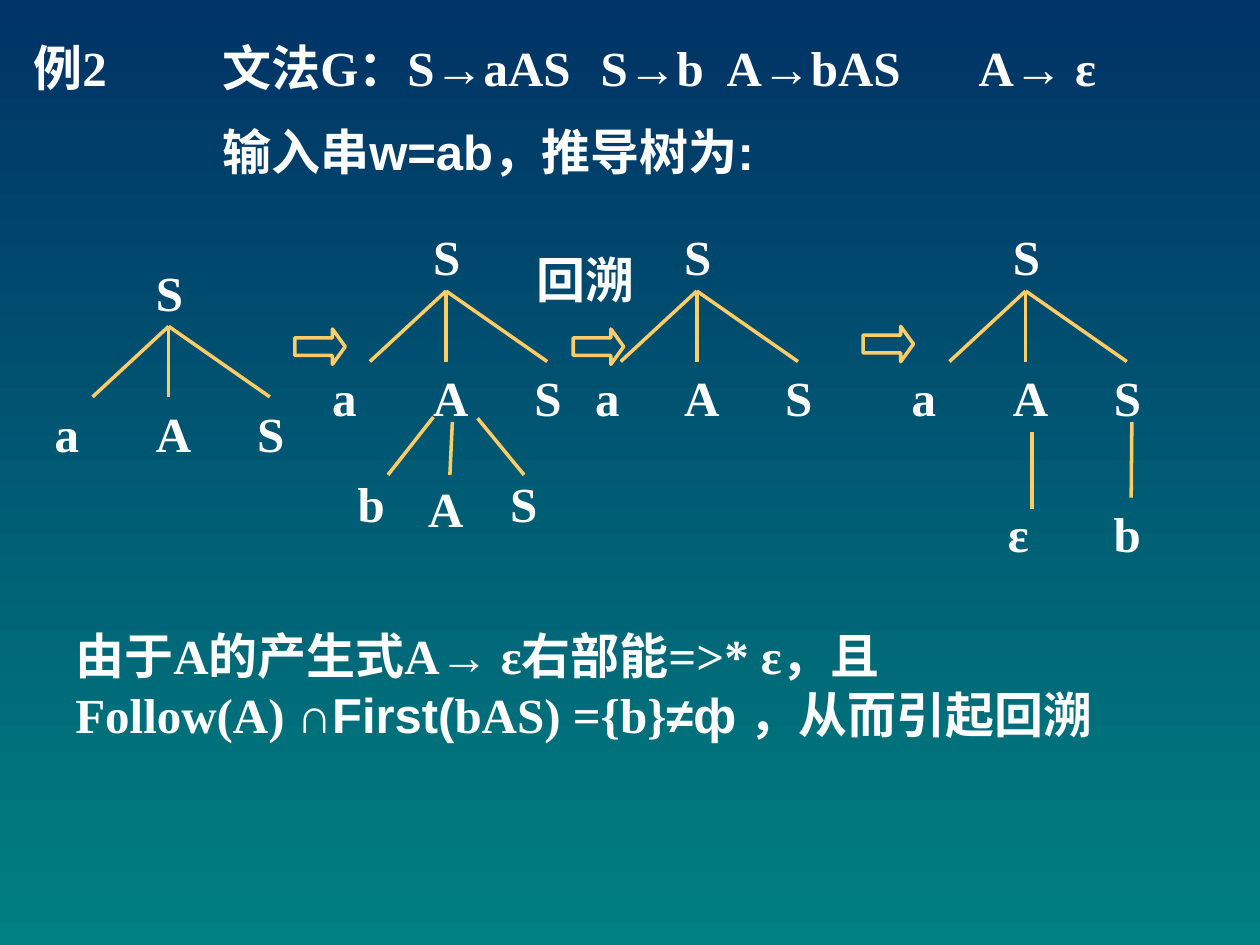
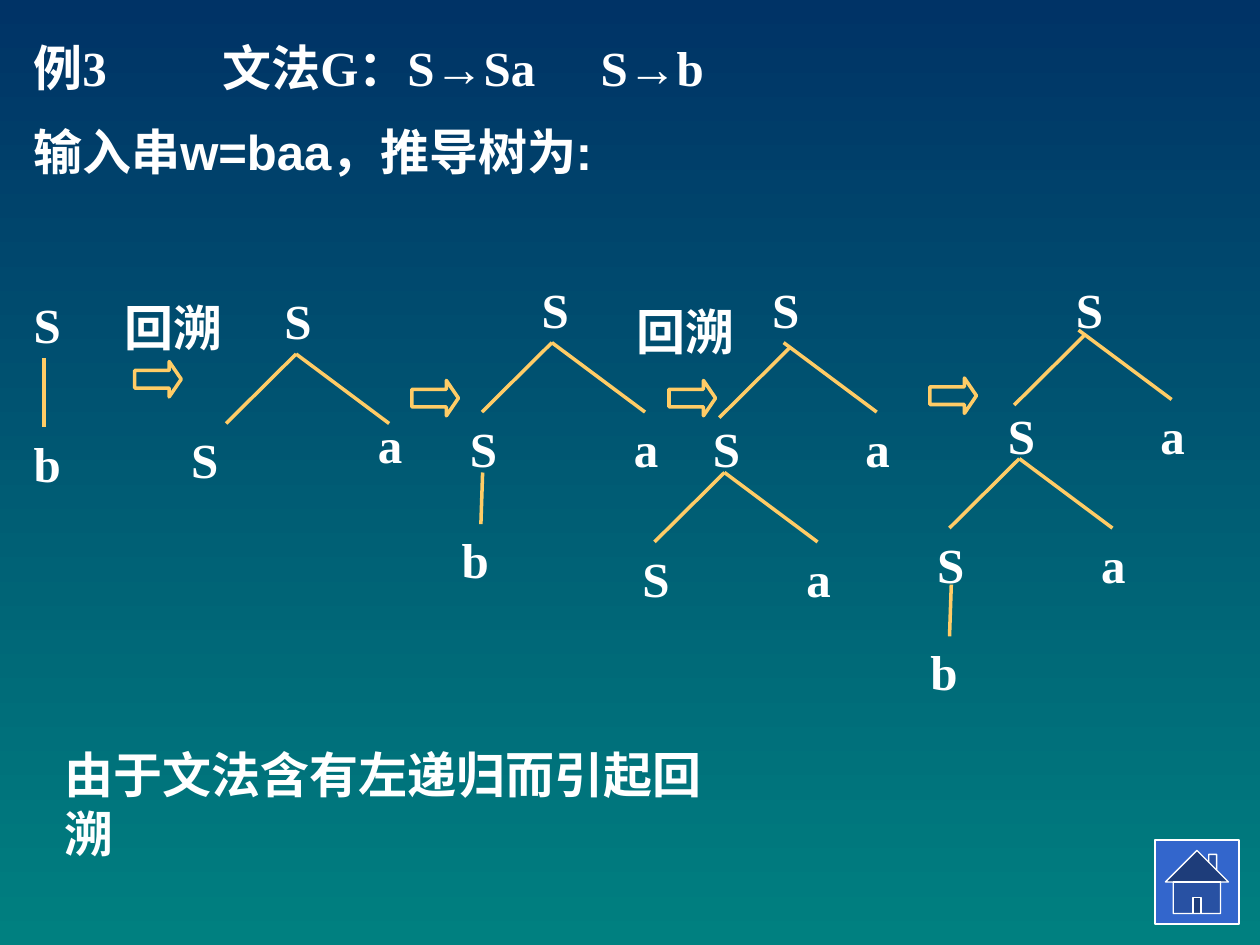
"""Build two slides of derivation trees that show backtracking."""
from pptx import Presentation
from pptx.dml.color import RGBColor
from pptx.enum.shapes import MSO_CONNECTOR, MSO_SHAPE
from pptx.enum.text import MSO_ANCHOR, MSO_AUTO_SIZE, PP_ALIGN
from pptx.oxml.ns import qn
from pptx.util import Pt
from lxml.etree import SubElement

NAVY, TEAL, WHITE, GOLD, BLUE = "003366", "008080", "FFFFFF", "FFCC66", "3366CC"
SERIF, SANS = "Times New Roman", "Arial"


def tint(color, value):
    """Set a colour from a hex string."""
    color.rgb = RGBColor.from_string(value)


def style(par, fonts):
    """Format the runs of a paragraph, one font for each run."""
    for run, face in zip(par.runs, fonts):
        run.font.name, run.font.size, run.font.bold = face, Pt(28), True
        tint(run.font.color, WHITE)


def label(shapes, x, y, text, width=43.2):
    """Add one node or caption in the tree style."""
    box = shapes.add_textbox(Pt(x), Pt(y), Pt(width), Pt(60))
    box.text_frame.word_wrap = True
    par = box.text_frame.paragraphs[0]
    par.text, par.alignment = text, PP_ALIGN.JUSTIFY
    style(par, [SERIF])


def line(shapes, x, y, dx, dy):
    """Draw a gold branch from a point by an offset."""
    link = shapes.add_connector(
        MSO_CONNECTOR.STRAIGHT, Pt(x), Pt(y), Pt(x + dx), Pt(y + dy))
    tint(link.line.color, GOLD)
    link.line.width = Pt(2)
    SubElement(link._element.spPr, qn("a:effectLst"))


def arrow(shapes, x, y, width, head):
    """Draw the hollow arrow that leads to the next tree."""
    mark = shapes.add_shape(
        MSO_SHAPE.RIGHT_ARROW, Pt(x), Pt(y), Pt(width), Pt(20.2))
    mark.adjustments[0], mark.adjustments[1] = 0.5, head
    mark.shadow.inherit = False
    mark.fill.background()
    tint(mark.line.color, GOLD)
    mark.line.width = Pt(2)


def triple(shapes, x, y, first="a"):
    """Draw S over the three children a, A and S."""
    label(shapes, x, y, "S", 57.6)
    for dx, leg, text in ((-57.8, -43.5, first), (0, 0, "A"), (57.8, 57.8, "S")):
        line(shapes, x + 14.4, y + 40.3, leg, 40.3)
        label(shapes, x + dx, y + 80.6, text)


def pair(shapes, x, y, side=-54, lift=0, skew=0):
    """Draw the children S and a below an apex."""
    line(shapes, x + skew, y + skew, -40, 39.7)
    line(shapes, x, y, 53.2, 39.7)
    label(shapes, x + side, y + 39.7, "S")
    label(shapes, x + 39.7, y + 39.7 - lift, "a")


def stem(shapes, x, y):
    """Draw the single child b below a point."""
    line(shapes, x, y, -1, 29.5)
    label(shapes, x - 19, y + 28.8, "b")


def heading(slide, rows):
    """Place the grammar and input string in the title."""
    box = slide.shapes.title
    box.left, box.top, box.width, box.height = Pt(12), Pt(18), Pt(648), Pt(91.4)
    frame = box.text_frame
    frame.word_wrap, frame.auto_size = True, MSO_AUTO_SIZE.NONE
    frame.vertical_anchor = MSO_ANCHOR.TOP
    frame.text = "\n".join(rows)
    for par, face in zip(frame.paragraphs, (SERIF, SANS)):
        par.alignment, par.space_before = PP_ALIGN.LEFT, Pt(14)
        props = par._p.get_or_add_pPr()
        for name, size in (("marL", 36), ("indent", -36), ("defTabSz", 72)):
            props.set(name, str(Pt(size)))
        style(par, [face])


def note(slide, x, y, width, height, rows):
    """Add the conclusion, each row a list of text and font pairs."""
    box = slide.shapes.add_textbox(Pt(x), Pt(y), Pt(width), Pt(height))
    frame = box.text_frame
    frame.word_wrap = True
    for num, row in enumerate(rows):
        par = frame.add_paragraph() if num else frame.paragraphs[0]
        for text, _ in row:
            par.add_run().text = text
        style(par, [face for _, face in row])


def start(deck, rows):
    """Add a slide with its heading."""
    slide = deck.slides.add_slide(deck.slide_layouts[5])
    heading(slide, rows)
    return slide


def group(slide):
    """Return the shapes of a new group."""
    return slide.shapes.add_group_shape().shapes


def empty(deck):
    """Build the slide on the empty production."""
    slide = start(deck, ["例2\t文法G：S→aAS\tS→b\tA→bAS\tA→ ε",
                         "\t\t输入串w=ab，推导树为:"])
    triple(group(slide), 82, 146.2)

    back = group(slide)
    arrow(back, 327.6, 188, 28.8, 0.36)
    label(back, 299.5, 139, "回溯", 100)
    triple(back, 383.8, 126, " a")

    grown = group(slide)
    arrow(grown, 168.5, 188, 28.8, 0.36)
    triple(grown, 240.5, 126)
    for x, y, text in ((284.4, 267, "S"), (197.3, 267, "b"), (237.6, 270, "A")):
        label(grown, x, y, text)
    line(grown, 247.7, 238.3, -26, 33.1)
    line(grown, 272.9, 239, 26.6, 32.4)
    line(grown, 258.5, 241.2, -1.4, 30.2)

    final = group(slide)
    arrow(final, 493.2, 186.5, 28.8, 0.36)
    triple(final, 571.7, 126)
    label(final, 568.8, 284.4, "ε")
    line(final, 589.7, 247, 0, 43.9)
    line(final, 646.8, 241.2, -0.4, 43.2)
    label(final, 629.3, 284.4, "b")

    note(slide, 36, 354.2, 630, 74.2, [
        [("由于A的产生式A→ ε右部能=>* ε，且", SERIF)],
        [("Follow(A) ", SERIF), ("∩First(", SANS), ("bAS) ={b}", SERIF),
         ("≠ф ", SANS), ("，从而引起回溯", SERIF)]])


def left(deck):
    """Build the slide on left recursion."""
    slide = start(deck, ["例3\t文法G：S→Sa\tS→b", "输入串w=baa，推导树为:"])
    third = group(slide)
    arrow(third, 235.4, 217.4, 26.6, 0.34)
    label(third, 302.4, 156.2, "S")
    pair(third, 315.4, 195.8)
    stem(third, 275.8, 270)

    first = group(slide)
    label(first, 12.2, 164.9, "S")
    line(first, 25.2, 204.5, 0, 39.6)
    label(first, 12.2, 244.1, "b")

    second = group(slide)
    label(second, 155.5, 162.7, "S")
    pair(second, 169.2, 202.3, side=-67, lift=8.6)
    arrow(second, 77, 206.6, 26.6, 0.34)
    label(second, 64.1, 166.3, "回溯", 92.2)

    fourth = group(slide)
    arrow(fourth, 382.3, 217.4, 26.6, 0.34)
    label(fourth, 356.4, 168.5, "回溯", 92.2)
    label(fourth, 434.2, 156.2, "S")
    pair(fourth, 447.8, 195.8, side=-47.5, skew=3.2)
    pair(fourth, 414, 270)

    fifth = group(slide)
    arrow(fifth, 531.4, 216, 26.6, 0.34)
    label(fifth, 607.7, 156.2, "S")
    pair(fifth, 616.3, 188.6, side=-47.5, skew=3.2)
    pair(fifth, 582.5, 262.1)
    stem(fifth, 543.6, 334.1)

    home = slide.shapes.add_shape(
        MSO_SHAPE.ACTION_BUTTON_HOME, Pt(660), Pt(480), Pt(48), Pt(48))
    home.shadow.inherit = False
    home.fill.solid()
    tint(home.fill.fore_color, BLUE)
    tint(home.line.color, WHITE)
    home.line.width = Pt(0.75)
    note(slide, 30, 422, 404.6, 41, [[("由于文法含有左递归而引起回溯", SERIF)]])


def main():
    """Set up the shared look and build both slides."""
    deck = Presentation()
    deck.slide_width, deck.slide_height = Pt(720), Pt(540)
    fill = deck.slide_master.background.fill
    fill.gradient()
    fill.gradient_angle = 270
    for stop, value in zip(fill.gradient_stops, (NAVY, TEAL)):
        tint(stop.color, value)
    empty(deck)
    left(deck)
    deck.save("out.pptx")


main()
